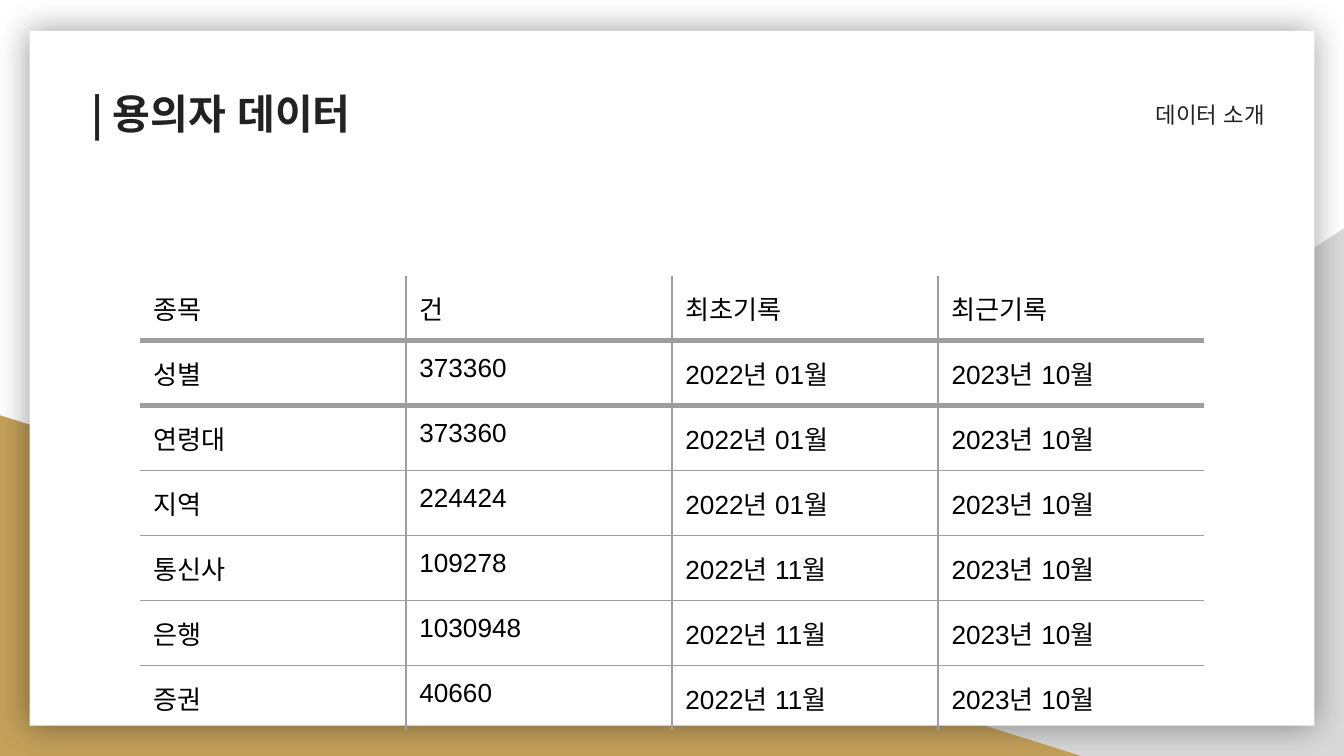
from typing import NamedTuple

import lxml.etree
import pptx
import pptx.dml.color
import pptx.enum.lang
import pptx.enum.shapes
import pptx.enum.text
import pptx.oxml.ns
import pptx.util

Inches = pptx.util.Inches
Pt = pptx.util.Pt
RGBColor = pptx.dml.color.RGBColor
MSO_SHAPE = pptx.enum.shapes.MSO_SHAPE
MSO_ANCHOR = pptx.enum.text.MSO_ANCHOR
PP_ALIGN = pptx.enum.text.PP_ALIGN
qn = pptx.oxml.ns.qn

WHITE = RGBColor(0xFF, 0xFF, 0xFF)
BLACK = RGBColor(0x00, 0x00, 0x00)
INK = RGBColor(0x22, 0x22, 0x22)
GOLD = RGBColor(0xC4, 0xA1, 0x5A)
SILVER = RGBColor(0xD9, 0xD9, 0xD9)
RULE = RGBColor(0x9E, 0x9E, 0x9E)
KOREAN_FONT = "Noto Sans CJK KR"
THIN, THICK = 0.75, 3


class Panel(NamedTuple):
    kind: MSO_SHAPE
    left: float
    top: float
    width: float
    height: float
    color: RGBColor
    flipped: bool = False
    shadowed: bool = False


class Record(NamedTuple):
    subject: str
    count: str
    first: str
    latest: str = "2023년 10월"


PANELS = [
    Panel(MSO_SHAPE.RIGHT_TRIANGLE, 3.92, 1.7, 6.08, 3.93, SILVER, flipped=True),
    Panel(MSO_SHAPE.RIGHT_TRIANGLE, 0, 3.09, 8.06, 2.54, GOLD),
    Panel(MSO_SHAPE.RECTANGLE, 0.22, 0.23, 9.56, 5.17, WHITE, shadowed=True),
]
RECORDS = [
    Record("종목", "건", "최초기록", "최근기록"),
    Record("성별", "373360", "2022년 01월"),
    Record("연령대", "373360", "2022년 01월"),
    Record("지역", "224424", "2022년 01월"),
    Record("통신사", "109278", "2022년 11월"),
    Record("은행", "1030948", "2022년 11월"),
    Record("증권", "40660", "2022년 11월"),
]


def add_panel(slide, panel: Panel) -> None:
    shape = slide.shapes.add_shape(
        panel.kind, Inches(panel.left), Inches(panel.top),
        Inches(panel.width), Inches(panel.height))
    shape.fill.solid()
    shape.fill.fore_color.rgb = panel.color
    shape.line.fill.background()
    shape.shadow.inherit = False
    properties = shape.element.spPr
    if panel.flipped:
        properties.find(qn("a:xfrm")).set("flipH", "1")
    if panel.shadowed:
        shadow = lxml.etree.SubElement(
            properties.find(qn("a:effectLst")), qn("a:outerShdw"),
            blurRad=str(Pt(18)), dist="0", dir="0", algn="ctr", rotWithShape="0")
        color = lxml.etree.SubElement(shadow, qn("a:srgbClr"), val=str(BLACK))
        lxml.etree.SubElement(color, qn("a:alpha"), val="40000")


def set_font(run, size: float, color: RGBColor, latin: str, bold: bool = False) -> None:
    """Style a run, with the Korean font for its Hangul."""
    run.font.size = Pt(size)
    run.font.color.rgb = color
    run.font.bold = bold
    run.font.name = latin
    run.font.language_id = pptx.enum.lang.MSO_LANGUAGE_ID.KOREAN
    east_asian = lxml.etree.Element(qn("a:ea"), typeface=KOREAN_FONT)
    run.font._element.find(qn("a:latin")).addnext(east_asian)


def write_heading(box, text: str, size: float, anchor: MSO_ANCHOR,
                  align: PP_ALIGN, bold: bool) -> None:
    frame = box.text_frame
    frame.text = text
    frame.word_wrap = True
    frame.auto_size = pptx.enum.text.MSO_AUTO_SIZE.NONE
    frame.vertical_anchor = anchor
    frame.margin_left = frame.margin_right = Inches(0.1)
    frame.margin_top = frame.margin_bottom = Inches(0.1)
    frame.paragraphs[0].alignment = align
    set_font(frame.paragraphs[0].runs[0], size, INK, KOREAN_FONT, bold)


def add_border(cell, side: str, width: float) -> None:
    """Draw one side of a cell; a width of 0 leaves it open."""
    line = lxml.etree.SubElement(
        cell._tc.get_or_add_tcPr(), qn(f"a:ln{side}"), w=str(Pt(width)))
    if width:
        fill = lxml.etree.SubElement(line, qn("a:solidFill"))
        lxml.etree.SubElement(fill, qn("a:srgbClr"), val=str(RULE))
    else:
        lxml.etree.SubElement(line, qn("a:noFill"))


def add_record_table(slide, records: list[Record]) -> None:
    row_count, column_count = len(records), len(Record._fields)
    table = slide.shapes.add_table(
        row_count, column_count, Inches(1.04), Inches(2.05),
        Inches(1.98 * column_count), Inches(0.42 * row_count)).table
    table.first_row = table.horz_banding = False
    # Widths of the horizontal rules, from above the first row to below the last
    rules = [0, THICK, THICK] + [THIN] * (row_count - 3) + [0]
    for r, record in enumerate(records):
        for c, text in enumerate(record):
            cell = table.cell(r, c)
            cell.text = text
            cell.margin_left = cell.margin_right = Inches(0.1)
            cell.margin_top = cell.margin_bottom = Inches(0.1)
            set_font(cell.text_frame.paragraphs[0].runs[0], 14, BLACK, "Arial")
            add_border(cell, "L", THIN if c > 0 else 0)
            add_border(cell, "R", THIN if c < column_count - 1 else 0)
            add_border(cell, "T", rules[r])
            add_border(cell, "B", rules[r + 1])
            cell.fill.background()


def main() -> None:
    deck = pptx.Presentation()
    deck.slide_width = Inches(10)
    deck.slide_height = deck.slide_width * 9 // 16
    slide = deck.slides.add_slide(deck.slide_layouts.get_by_name("Title Only"))
    slide.background.fill.solid()
    slide.background.fill.fore_color.rgb = WHITE
    for panel in PANELS:
        add_panel(slide, panel)
    add_record_table(slide, RECORDS)

    title = slide.shapes.title
    title.left, title.top = Inches(0.58), Inches(0.56)
    title.width, title.height = Inches(4.56), Inches(0.74)
    title.element.getparent().append(title.element)  # bring in front of the panels
    write_heading(title, "| 용의자 데이터", 22, MSO_ANCHOR.TOP, PP_ALIGN.LEFT, True)

    section = slide.shapes.add_textbox(
        Inches(5.31), Inches(0.48), Inches(4.2), Inches(0.74))
    write_heading(section, "데이터 소개", 12, MSO_ANCHOR.MIDDLE, PP_ALIGN.RIGHT, False)
    deck.save("out.pptx")


if __name__ == "__main__":
    main()
